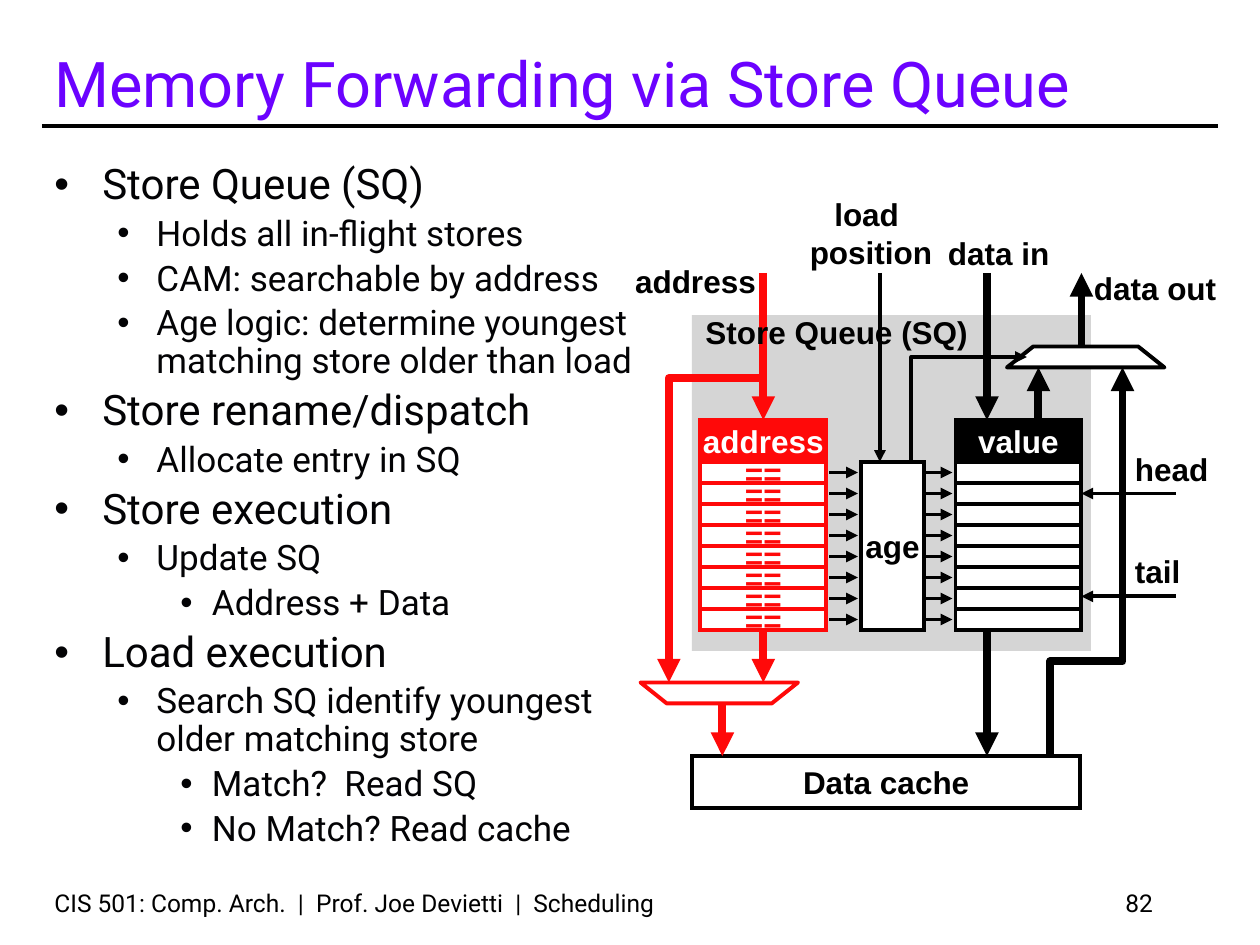
from dataclasses import dataclass

from lxml.etree import SubElement
from pptx import Presentation
from pptx.dml.color import RGBColor
from pptx.enum.shapes import MSO_CONNECTOR, MSO_SHAPE
from pptx.enum.text import MSO_ANCHOR, MSO_AUTO_SIZE, PP_ALIGN
from pptx.oxml.ns import qn
from pptx.util import Inches, Pt


@dataclass(frozen=True)
class Theme:
    black: str = "000000"
    white: str = "FFFFFF"
    red: str = "FF0909"
    purple: str = "6B02FF"
    ink: str = "030305"
    panel: str = "D5D5D5"
    text_font: str = "Roboto"
    diagram_font: str = "Arial"
    title_size: int = 36
    body_sizes: tuple = (24, 20, 20)
    label_size: int = 18
    footer_size: int = 14
    thin: float = 2.25
    thick: float = 4.5


THEME = Theme()
BLACK, WHITE, RED = THEME.black, THEME.white, THEME.red

# Content; every position is in grid cells of 1/12 inch (120 columns, 90 rows)
TITLE = "Memory Forwarding via Store Queue"
FOOTER = "CIS 501: Comp. Arch.  |  Prof. Joe Devietti  |  Scheduling"
PAGE = "82"
BULLETS = [
    (0, "Store Queue (SQ)"),
    (1, "Holds all in-flight stores"),
    (1, "CAM: searchable by address"),
    (1, "Age logic: determine youngest matching store older than load"),
    (0, "Store rename/dispatch"),
    (1, "Allocate entry in SQ"),
    (0, "Store execution"),
    (1, "Update SQ"),
    (2, "Address + Data"),
    (0, "Load execution"),
    (1, "Search SQ identify youngest older matching store"),
    (2, "Match?  Read SQ"),
    (2, "No Match? Read cache"),
]
INDENTS = [(0.38, 0.38), (0.81, 0.31), (1.25, 0.25)]  # inches: margin, hang

# Queue columns: left, header, entry text, header fill, entry text colour
QUEUE_COLUMNS = [(91, "value", "", BLACK, BLACK),
                 (66.7, "address", "==", RED, RED)]
QUEUE_WIDTH, QUEUE_TOP, HEADER_ROWS, ENTRY_ROWS, ENTRIES = 12, 40, 4, 2, 8
ENTRY_TOP = QUEUE_TOP + HEADER_ROWS
ENTRY_ARROWS = [(79, 81.7), (88, 90.7)]  # address to age, age to value

# Wires: colour, width, corner points; the arrowhead is at the last point
WIRES = [
    (RED, THEME.thick, [(72.7, 60), (72.7, 65)]),
    (RED, THEME.thick, [(72.7, 26), (72.7, 40)]),
    (RED, THEME.thick, [(68.8, 67), (68.8, 72)]),
    (RED, THEME.thick, [(72.7, 36), (63.7, 36), (63.7, 65)]),
    (BLACK, THEME.thin, [(83.8, 26), (83.8, 44)]),
    (BLACK, THEME.thick, [(94, 26), (94, 40)]),
    (BLACK, THEME.thick, [(94, 60), (94, 72)]),
    (BLACK, THEME.thick, [(98.9, 40), (98.9, 35)]),
    (BLACK, THEME.thick, [(103, 33), (103, 26)]),
    (BLACK, THEME.thick, [(100, 72), (100, 63), (106.9, 63), (106.9, 35)]),
    (BLACK, THEME.thin, [(112, 47), (103, 47)]),
    (BLACK, THEME.thin, [(112, 56.8), (103, 56.8)]),
]
AGE_WIRE = (BLACK, THEME.thin, [(86.8, 44), (86.8, 34), (97.8, 34)])

# Multiplexers: colour, left, row of the wide side, row of the narrow side
MUXES = [(BLACK, 95.9, 35, 33), (RED, 61, 65, 67)]
MUX_WIDTH, MUX_SLANT = 15, 2.5

LABELS = [
    ("head", 106.9, 42.3, 9.5, 4.8),
    ("tail", 106.9, 52, 6.8, 4.8),
    ("load \vposition", 75.9, 18, 14.1, 8.5),
    ("address", 59.3, 24.4, 14, 4.8),
    ("data in", 89.1, 21.7, 12.3, 4.8),
    ("data out", 103, 25, 14.2, 4.8),
    ("Store Queue (SQ)", 66, 29.2, 27.7, 4.8),
]


def grid(*cells):
    return [Inches(cell / 12) for cell in cells]


def style_text(paragraph, font_name, size, color, bold=False):
    for run in paragraph.runs:
        run.font.name, run.font.size, run.font.bold = font_name, Pt(size), bold
        run.font.color.rgb = RGBColor.from_string(color)


def style_outline(shape, color, width):
    shape.line.color.rgb = RGBColor.from_string(color)
    shape.line.width = Pt(width)


def style_fill(shape, color):
    shape.shadow.inherit = False
    if color:
        shape.fill.solid()
        shape.fill.fore_color.rgb = RGBColor.from_string(color)
    else:
        shape.fill.background()


def add_text(slide, text, place, font_name, size, color, bold=False, wrap=True,
             anchor=MSO_ANCHOR.TOP, align=PP_ALIGN.LEFT):
    text_frame = slide.shapes.add_textbox(*grid(*place)).text_frame
    text_frame.word_wrap, text_frame.vertical_anchor = wrap, anchor
    if not wrap:
        text_frame.auto_size = MSO_AUTO_SIZE.SHAPE_TO_FIT_TEXT
    text_frame.text = text
    for paragraph in text_frame.paragraphs:
        paragraph.alignment = align
        style_text(paragraph, font_name, size, color, bold)
    return text_frame


def add_box(slide, place, fill, outline=None, text="", color=BLACK):
    shape = slide.shapes.add_shape(MSO_SHAPE.RECTANGLE, *grid(*place))
    style_fill(shape, fill)
    if outline:
        style_outline(shape, outline, THEME.thin)
        SubElement(shape.line._get_or_add_ln(), qn("a:miter"), lim="800000")
    else:
        shape.line.fill.background()
    if text:
        text_frame = shape.text_frame
        text_frame.text = text
        text_frame.word_wrap, text_frame.vertical_anchor = False, MSO_ANCHOR.MIDDLE
        paragraph = text_frame.paragraphs[0]
        paragraph.alignment = PP_ALIGN.CENTER
        style_text(paragraph, THEME.diagram_font, THEME.label_size, color, True)


def add_outline(slide, points, close):
    start, *rest = [grid(*point) for point in points]
    builder = slide.shapes.build_freeform(*start, scale=1.0)
    builder.add_line_segments(rest, close=close)
    return builder.convert_to_shape()


def add_wire(slide, color, width, points, arrow=True):
    if len(points) == 2:
        wire = slide.shapes.add_connector(
            MSO_CONNECTOR.STRAIGHT, *grid(*points[0], *points[1]))
        SubElement(wire._element.spPr, qn("a:effectLst"))
    else:
        wire = add_outline(slide, points, close=False)
        style_fill(wire, None)
    style_outline(wire, color, width)
    if arrow:
        SubElement(wire.line._get_or_add_ln(), qn("a:tailEnd"), type="triangle")


def add_bullets(slide):
    text_frame = add_text(slide, "\n".join(text for _, text in BULLETS),
                          (4, 15, 58, 67), THEME.text_font, 20, THEME.ink)
    for paragraph, (level, _) in zip(text_frame.paragraphs, BULLETS):
        size = THEME.body_sizes[level]
        style_text(paragraph, THEME.text_font, size, THEME.ink)
        paragraph.level = level
        paragraph.line_spacing, paragraph.space_before = 0.9, Pt(size * 0.2)
        margin, hang = INDENTS[level]
        properties = paragraph._p.get_or_add_pPr()
        properties.set("marL", str(Inches(margin)))
        properties.set("indent", str(-Inches(hang)))
        SubElement(properties, qn("a:buFont"), typeface="Arial")
        SubElement(properties, qn("a:buChar"), char="•")


def add_diagram(slide):
    add_box(slide, (65.9, 30, 38, 32), THEME.panel)

    # Queue columns and their entries
    for left, header, entry, color, entry_color in QUEUE_COLUMNS:
        add_box(slide, (left, QUEUE_TOP, QUEUE_WIDTH, HEADER_ROWS),
                color, color, header, WHITE)
        for index in range(ENTRIES):
            top = ENTRY_TOP + index * ENTRY_ROWS
            add_box(slide, (left, top, QUEUE_WIDTH, ENTRY_ROWS),
                    WHITE, color, entry, entry_color)
    add_box(slide, (82, ENTRY_TOP, 6, ENTRIES * ENTRY_ROWS), WHITE, BLACK, "age")
    add_box(slide, (65.9, 72, 37, 5), None, BLACK, "Data cache")

    # Multiplexers
    for color, left, wide, narrow in MUXES:
        right = left + MUX_WIDTH
        mux = add_outline(slide, [(left, wide), (right, wide),
                                  (right - MUX_SLANT, narrow),
                                  (left + MUX_SLANT, narrow)], close=True)
        style_fill(mux, WHITE)
        style_outline(mux, color, THEME.thin)

    # Wires, entry arrows and labels
    for wire in WIRES:
        add_wire(slide, *wire)
    for text, *place in LABELS:
        align = PP_ALIGN.CENTER if "\v" in text else PP_ALIGN.LEFT
        add_text(slide, text, place, THEME.diagram_font, THEME.label_size,
                 BLACK, bold=True, wrap=False, align=align)
    for start, end in ENTRY_ARROWS:
        for index in range(ENTRIES):
            row = ENTRY_TOP + (index + 0.5) * ENTRY_ROWS
            add_wire(slide, BLACK, THEME.thin, [(start, row), (end, row)])
    add_wire(slide, *AGE_WIRE)


def main():
    presentation = Presentation()
    presentation.slide_width, presentation.slide_height = grid(120, 90)
    slide = presentation.slides.add_slide(presentation.slide_layouts[6])

    # Title, rule, body and footer
    add_wire(slide, BLACK, THEME.thin, [(4, 12), (116, 12)], arrow=False)
    add_text(slide, TITLE, (4, 3, 105, 9), THEME.text_font, THEME.title_size,
             THEME.purple, anchor=MSO_ANCHOR.BOTTOM)
    add_bullets(slide)
    for text, left, width, align in [(FOOTER, 4, 75, PP_ALIGN.LEFT),
                                     (PAGE, 86, 25, PP_ALIGN.RIGHT)]:
        add_text(slide, text, (left, 84, width, 4), THEME.text_font,
                 THEME.footer_size, BLACK, anchor=MSO_ANCHOR.BOTTOM, align=align)
    add_diagram(slide)
    presentation.save("out.pptx")


if __name__ == "__main__":
    main()
